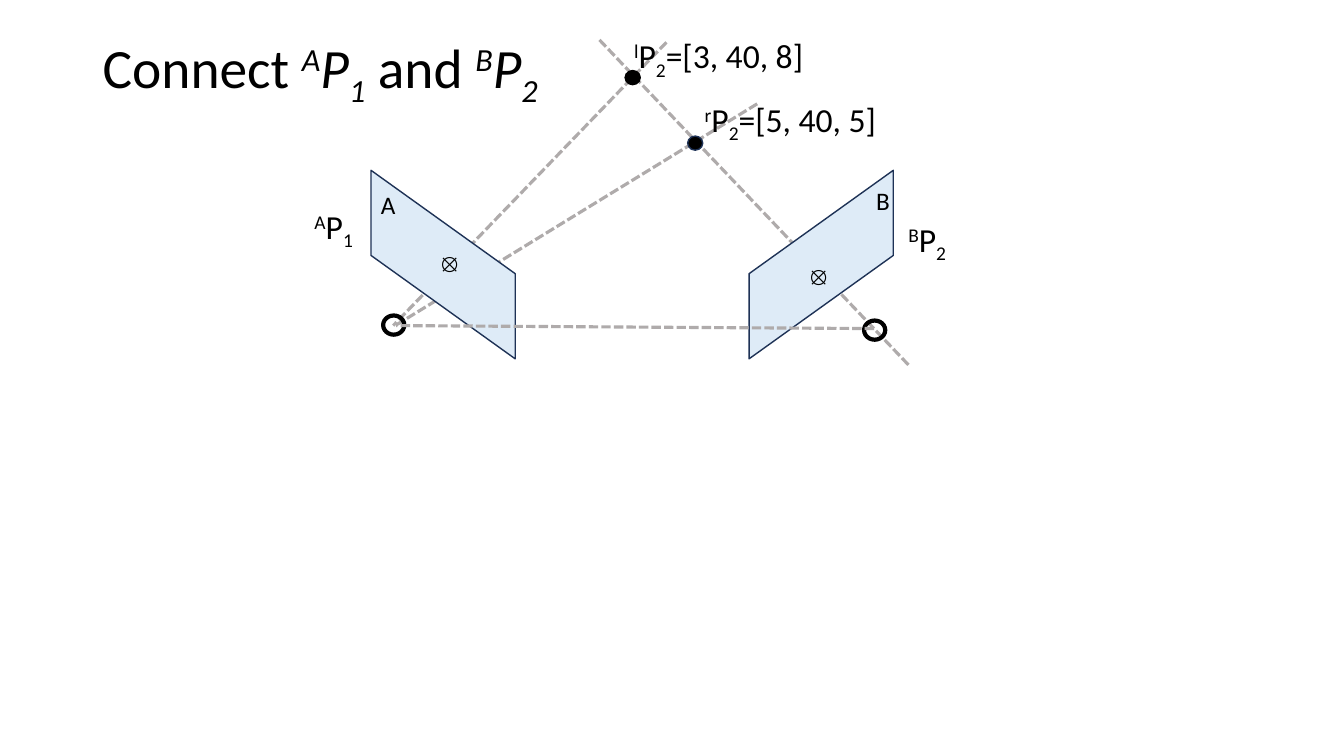
from pptx import Presentation
from pptx import util as u
from pptx.dml.color import RGBColor
from pptx.enum import dml, shapes, text
from pptx.oxml.ns import qn
from lxml import etree

BLACK = RGBColor(0x00, 0x00, 0x00)
GREY = RGBColor(0xAF, 0xAB, 0xAB)
PALE_BLUE = RGBColor(0xDE, 0xEB, 0xF7)
NAVY = RGBColor(0x1E, 0x32, 0x56)
BASELINES = {"^": "30000", "_": "-25000"}


class Diagram:
    """Draws styled elements on one slide."""

    def __init__(self, slide, font="Calibri"):
        self.shapes = slide.shapes
        self.font = font

    def ray(self, start, end):
        ends = [u.Inches(value) for value in (*start, *end)]
        line = self.shapes.add_connector(shapes.MSO_CONNECTOR.STRAIGHT, *ends)
        line.line.color.rgb = GREY
        line.line.width = u.Pt(2.25)
        line.line.dash_style = dml.MSO_LINE.SQUARE_DOT
        etree.SubElement(line._element.spPr, qn("a:effectLst"))

    def shape(self, kind, area, fill=None, line=BLACK, width=1):
        shape = self.shapes.add_shape(kind, *[u.Inches(value) for value in area])
        shape.shadow.inherit = False
        if fill is None:
            shape.fill.background()
        else:
            shape.fill.solid()
            shape.fill.fore_color.rgb = fill
        shape.line.color.rgb = line
        shape.line.width = u.Pt(width)
        return shape

    def plane(self, left, rotation, mirrored=False):
        plane = self.shape(shapes.MSO_SHAPE.PARALLELOGRAM, (left, 1.91, 1.87, 1.43),
                           PALE_BLUE, NAVY)
        plane.adjustments[0] = 0.717
        plane.rotation = rotation
        if mirrored:
            plane._element.spPr.find(qn("a:xfrm")).set("flipH", "1")

    def label(self, area, spans, size, font=None, wrap=True):
        """Each span is plain text, or starts with ^ (raised) or _ (lowered)."""
        box = self.shapes.add_textbox(*[u.Inches(value) for value in area])
        box.text_frame.word_wrap = wrap
        para = box.text_frame.paragraphs[0]
        para.font.name = font or self.font
        para.font.size = u.Pt(size)
        para.font.color.rgb = BLACK
        for content in spans:
            span = para.add_run()
            span.text = content.lstrip("^_")
            if content[0] in BASELINES:
                span._r.get_or_add_rPr().set("baseline", BASELINES[content[0]])
        return box

    def title(self, area, spans, size):
        box = self.label(area, spans, size)
        box.text_frame.vertical_anchor = text.MSO_ANCHOR.MIDDLE
        para = box.text_frame.paragraphs[0]
        para.line_spacing = 0.9
        for span in para.runs:
            span.font.italic = len(span.text) == 1


def main():
    deck = Presentation()
    deck.slide_width, deck.slide_height = u.Inches(13.33), u.Inches(7.5)
    diagram = Diagram(deck.slides.add_slide(deck.slide_layouts[6]))

    # Title
    diagram.title((0.92, 0.4, 11.5, 0.55),
                  ["Connect ", "^A", "P", "_1", " and ", "^B", "P", "_2"], 39.6)

    # Viewing rays
    diagram.ray((9.01, 3.62), (5.94, 0.39))
    diagram.ray((6.61, 0.42), (3.9, 3.23))
    diagram.ray((7.51, 1.03), (3.92, 3.23))

    # Image planes
    diagram.plane(3.46, 90)
    diagram.plane(7.21, 270, mirrored=True)

    # Candidate points and camera centres
    oval = shapes.MSO_SHAPE.OVAL
    diagram.shape(oval, (6.2, 0.7, 0.15, 0.14), BLACK)
    diagram.shape(oval, (6.82, 1.35, 0.15, 0.14), BLACK, NAVY)
    for left, top in ((3.8, 3.13), (8.57, 3.18)):
        diagram.shape(oval, (left, top, 0.21, 0.19), width=3)

    # Baseline between the cameras
    diagram.ray((8.67, 3.26), (3.93, 3.23))

    # Image points
    for left, top in ((4.28, 2.39), (7.94, 2.52)):
        diagram.label((left, top, 0.34, 0.29), ["⦻"], 18, font="Roboto")

    # Plane names
    diagram.label((3.68, 1.83, 0.26, 0.29), ["A"], 18, wrap=False)
    diagram.label((8.59, 1.79, 0.28, 0.29), ["B"], 18)

    # Point names
    for left, top, width, spans in (
        (6.89, 0.93, 2.15, ["^r", "P", "_2", "=[5, 40, 5]"]),
        (6.19, 0.3, 2.15, ["^l", "P", "_2", "=[3, 40, 8]"]),
        (8.91, 2.12, 2.15, ["^B", "P", "_2"]),
        (3.02, 1.99, 0.91, ["^A", "P", "_1"]),
    ):
        diagram.label((left, top, width, 0.5), spans, 24)

    deck.save("out.pptx")


if __name__ == "__main__":
    main()
